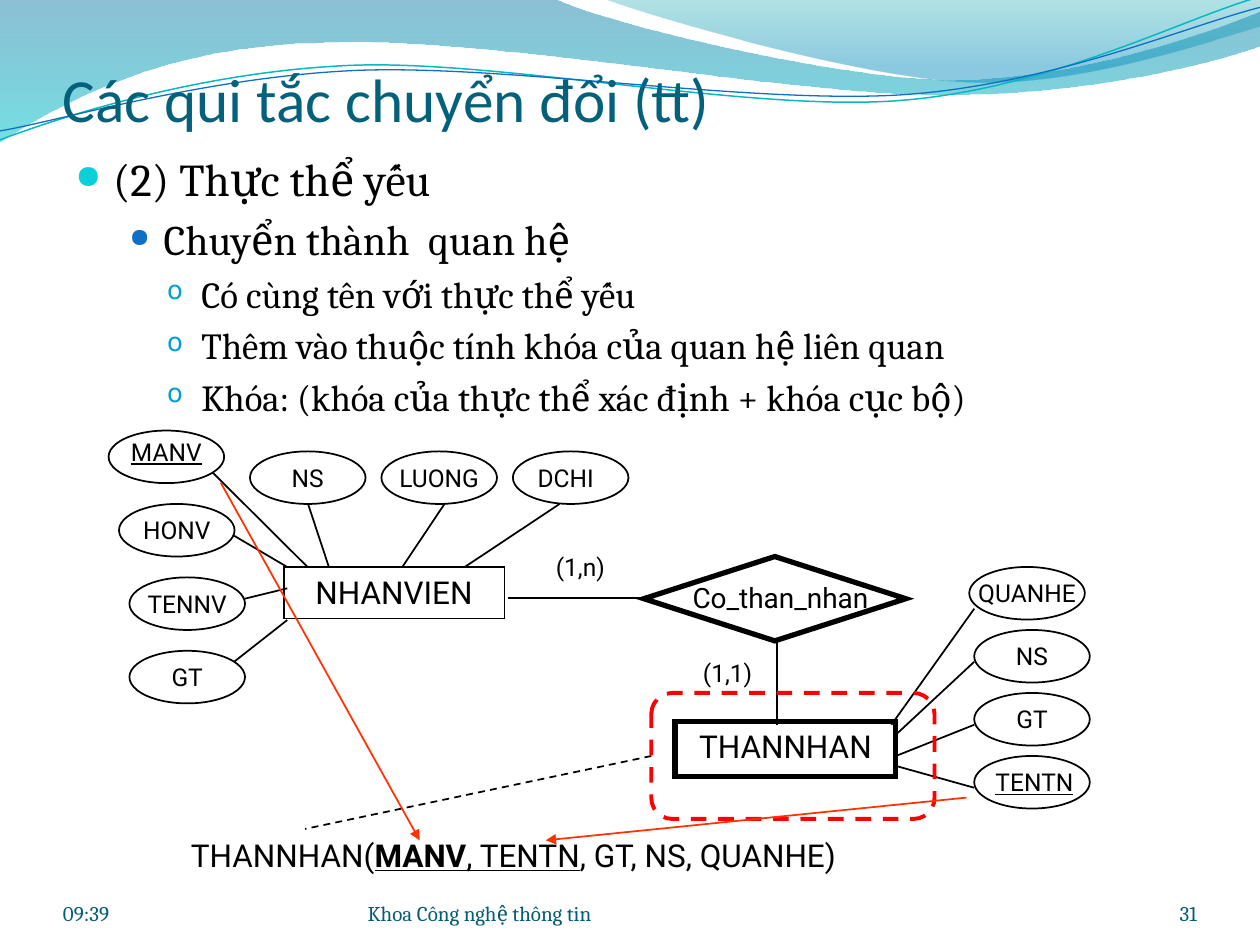
"""Build the slide on converting weak entities into relations."""
from lxml.etree import Element, SubElement
from pptx import Presentation
from pptx.dml.color import RGBColor
from pptx.enum.dml import MSO_LINE
from pptx.enum.shapes import MSO_CONNECTOR, MSO_SHAPE
from pptx.enum.text import MSO_ANCHOR, PP_ALIGN
from pptx.oxml.ns import qn
from pptx.util import Cm, Pt

BLACK = RGBColor(0x00, 0x00, 0x00)
RED = RGBColor(0xFF, 0x00, 0x00)
ORANGE = RGBColor(0xFF, 0x33, 0x00)
TITLE = RGBColor(0x04, 0x61, 0x7B)
FOOTER = RGBColor(0x04, 0x5D, 0x75)
TEAL = RGBColor(0x0A, 0xB8, 0xBF)
BLUE = RGBColor(0x0F, 0x6F, 0xC6)
DEEP_WAVE = ((RGBColor(0x00, 0x74, 0xA1), 0, 45), (RGBColor(0x00, 0xC6, 0xCF), 1, 55))
LIGHT_WAVE = ((RGBColor(0x00, 0xA1, 0xA9), 0, 30), (RGBColor(0x00, 0x8B, 0xBF), 0.8, 45))

HEAD, SERIF, SANS = "Calibri", "Cambria", "Roboto"
OVAL_W, OVAL_H = 2.33, 1.06

LEVELS = (
    (0.76, 0.76, "●", "0BD0D9", 72, 26),
    (1.78, 0.69, "●", "0F6FC6", 62, 24),
    (2.54, 0.69, "o", "009DD9", 70, 21),
)
BODY = (
    (0, "(2) Thực thể yếu"),
    (1, "Chuyển thành  quan hệ"),
    (2, "Có cùng tên với thực thể yếu"),
    (2, "Thêm vào thuộc tính khóa của quan hệ liên quan"),
    (2, "Khóa: (khóa của thực thể xác định + khóa cục bộ)"),
)
EMPLOYEE_SIDE = (
    ("MANV", 2.19, 8.68, (6.2, 11.43, 4.29, 9.53)),
    ("HONV", 2.4, 10.16, (5.79, 11.43, 4.72, 10.8)),
    ("TENNV", 2.61, 11.64, (5.79, 11.86, 4.93, 12.07)),
    ("GT", 2.61, 13.12, (5.79, 12.5, 4.72, 13.34)),
)
EMPLOYEE_TOP = (
    ("NS", (6.63, 11.43, 6.21, 10.16)),
    ("LUONG", (8.11, 11.43, 8.96, 10.16)),
    ("DCHI", (9.37, 11.43, 11.28, 10.16)),
)
RELATIVE = (
    ("QUANHE", 19.54, (17.97, 14.61, 19.64, 12.27)),
    ("NS", 19.64, (18.06, 14.81, 19.64, 13.34)),
    ("GT", 19.64, (18.06, 15.24, 19.64, 14.61)),
    ("TENTN", 19.64, (18.06, 15.44, 19.64, 15.88)),
)
KEYS = ("MANV", "TENTN")
LABEL_SHIFT = {"MANV": (0, 0), "DCHI": (-0.1, 0.1), "TENTN": (0.05, 0.1)}

DEEP_PATH = ((0, -0.03), (
    ((11.18, -0.03),),
    ((12.09, 0.43), (16.87, 1.6), (19.25, 1.6)),
    ((21.67, 1.6), (24.33, 0.66), (25.4, 0.23)),
    ((25.43, 0.91),),
    ((24.97, 1.12), (22.1, 1.93), (18.95, 1.91)),
    ((15.8, 1.91), (9.7, 0.71), (6.53, 0.86)),
    ((3.28, 0.89), (1.17, 2.11), (-0.03, 2.87))))
LIGHT_PATH = ((12.17, -0.03), (
    ((12.93, 0.28), (17.32, 1.57), (19.53, 1.65)),
    ((21.74, 1.75), (24.41, 0.81), (25.4, 0.53)),
    ((25.4, 0),)))
TEAL_PATH = ((0, 2.82), (
    ((1.22, 2.36), (4.01, 1.45), (7.04, 1.32)),
    ((10.03, 1.19), (15.06, 2.26), (18.11, 2.03)),
    ((21.16, 1.8), (23.83, 0.38), (25.35, -0.05))))
BLUE_PATH = ((0, 2.64), (
    ((1.19, 2.44), (4.17, 1.55), (7.19, 1.42)),
    ((10.24, 1.3), (15.16, 2.11), (18.21, 1.91)),
    ((21.23, 1.7), (23.9, 0.53), (25.4, 0.15))))


def add_curves(s, start, segments, close):
    """Add a freeform whose three-point segments are cubic curves."""
    builder = s.shapes.build_freeform(*map(Cm, start))
    builder.add_line_segments([tuple(map(Cm, seg[-1])) for seg in segments], close=close)
    sp = builder.convert_to_shape()
    for node, seg in zip(list(sp._element.iter(qn("a:lnTo"))), segments):
        if len(seg) == 3:
            node.tag = qn("a:cubicBezTo")
            for i, (x, y) in enumerate(seg[:2]):
                node.insert(i, Element(qn("a:pt"), x=str(Cm(x) - sp.left),
                                       y=str(Cm(y) - sp.top)))
    sp.shadow.inherit = False
    return sp


def add_wave(s, route, stops=None, color=None, width=1):
    """Draw a gradient band, or an open curve if no stops are given."""
    sp = add_curves(s, *route, close=bool(stops))
    if not stops:
        sp.fill.background()
        sp.line.color.rgb = color
        sp.line.width = Pt(width)
        return
    sp.line.fill.background()
    sp.fill.gradient()
    sp.fill.gradient_angle = 270
    for stop, (rgb, position, _) in zip(sp.fill.gradient_stops, stops):
        stop.color.rgb = rgb
        stop.position = position
    for clr, (_, _, opacity) in zip(sp._element.spPr.iter(qn("a:srgbClr")), stops):
        SubElement(clr, qn("a:alpha"), val=str(opacity * 1000))


def style(p, size, font=SANS, color=BLACK, align=PP_ALIGN.LEFT):
    """Format a paragraph and its runs."""
    p.alignment = align
    for r in p.runs:
        r.font.size = Pt(size)
        r.font.name = font
        r.font.color.rgb = color


def add_text(s, text, box, size, anchor=MSO_ANCHOR.TOP, insets=(0, 0.13, 0, 0.13), **look):
    """Add a one-paragraph text box and return its paragraph."""
    tf = s.shapes.add_textbox(*map(Cm, box)).text_frame
    tf.word_wrap = True
    tf.vertical_anchor = anchor
    tf.margin_left, tf.margin_top, tf.margin_right, tf.margin_bottom = map(Cm, insets)
    tf.text = text
    style(tf.paragraphs[0], size, **look)
    return tf.paragraphs[0]


def add_outline(s, kind, box, width=1, color=BLACK, text="", dash=None):
    """Add an unfilled preset shape with an optional name inside."""
    sp = s.shapes.add_shape(kind, *map(Cm, box))
    sp.shadow.inherit = False
    sp.fill.background()
    sp.line.color.rgb = color
    sp.line.width = Pt(width)
    sp.line.dash_style = dash
    SubElement(sp.line._get_or_add_ln(), qn("a:miter"), lim="800000")
    if text:
        tf = sp.text_frame
        tf.vertical_anchor = MSO_ANCHOR.TOP
        tf.text = text
        style(tf.paragraphs[0], 18, align=PP_ALIGN.CENTER)


def add_line(s, ends, color=BLACK, dash=None, arrow=False):
    """Add a straight connector, with an arrowhead at its end if asked."""
    cxn = s.shapes.add_connector(MSO_CONNECTOR.STRAIGHT, *map(Cm, ends))
    cxn.line.color.rgb = color
    cxn.line.width = Pt(1)
    cxn.line.dash_style = dash
    if arrow:
        SubElement(cxn.line._get_or_add_ln(), qn("a:tailEnd"), type="triangle")
    SubElement(cxn._element.spPr, qn("a:effectLst"))


def add_attribute(s, name, x, y, ends):
    """Add an attribute oval, its label and the line to its entity."""
    add_outline(s, MSO_SHAPE.OVAL, (x, y, OVAL_W, OVAL_H))
    dx, dy = LABEL_SHIFT.get(name, (0, 0.1))
    p = add_text(s, name, (x + dx, y + dy, OVAL_W, 0.84), 14, align=PP_ALIGN.CENTER)
    if name in KEYS:
        p.runs[0].font.underline = True
    add_line(s, ends)


def add_body(s):
    """Add the bulleted rules."""
    tf = s.shapes.add_textbox(Cm(1.27), Cm(2.92), Cm(22.86), Cm(14.12)).text_frame
    tf.word_wrap = True
    for i, (level, text) in enumerate(BODY):
        p = tf.add_paragraph() if i else tf.paragraphs[0]
        left, hang, mark, color, percent, size = LEVELS[level]
        p.text = text
        p.level = level
        p.space_before = Pt(size * 0.2 if i else 0)
        pPr = p._p.get_or_add_pPr()
        pPr.set("marL", str(Cm(left)))
        pPr.set("indent", str(-Cm(hang)))
        SubElement(SubElement(pPr, qn("a:buClr")), qn("a:srgbClr"), val=color)
        SubElement(pPr, qn("a:buSzPct"), val=str(percent * 1000))
        SubElement(pPr, qn("a:buChar"), char=mark)
        style(p, size, SERIF)


def add_relation(s):
    """Add the resulting relation with its underlined key."""
    p = add_text(s, "THANNHAN(", (3.6, 16.72, 17.58, 1.02), 18,
                 insets=(0.25, 0.13, 0.25, 0.13))
    for text, bold, underline in (("MANV", True, True), (", TENTN", False, True),
                                  (", GT, NS, QUANHE)", False, False)):
        r = p.add_run()
        r.text = text
        r.font.bold = bold
        r.font.underline = underline
    style(p, 18)


def add_diagram(s):
    """Add the entities, their relationship and the key arrows."""
    add_outline(s, MSO_SHAPE.RECTANGLE, (5.72, 11.43, 4.45, 1.04), text="NHANVIEN")
    add_outline(s, MSO_SHAPE.RECTANGLE, (13.61, 14.54, 4.45, 1.12), 3, text="THANNHAN")
    for attribute in EMPLOYEE_SIDE:
        add_attribute(s, *attribute)
    for i, (name, ends) in enumerate(EMPLOYEE_TOP):
        add_attribute(s, name, 5.04 + 2.65 * i, 9.1, ends)
    for i, (name, x, ends) in enumerate(RELATIVE):
        add_attribute(s, name, x, 11.43 + 1.27 * i, ends)
    add_outline(s, MSO_SHAPE.FLOWCHART_DECISION, (12.98, 11.22, 5.28, 1.7), 3)
    for text, box, size in (("Co_than_nhan", (13.41, 11.58, 4.65, 0.94), 16),
                            ("(1,1)", (13.72, 13.13, 1.9, 0.84), 14),
                            ("(1,n)", (10.75, 11, 1.9, 0.84), 14)):
        add_text(s, text, box, size, align=PP_ALIGN.CENTER)
    add_line(s, (10.24, 12.06, 12.98, 12.06))
    add_line(s, (15.66, 12.9, 15.66, 14.61))
    add_line(s, (13.13, 15.24, 6.15, 16.71), dash=MSO_LINE.DASH)
    add_outline(s, MSO_SHAPE.FLOWCHART_ALTERNATE_PROCESS, (13.13, 13.97, 5.71, 2.54),
                2.25, RED, dash=MSO_LINE.DASH)
    add_line(s, (4.45, 9.73, 8.46, 16.94), ORANGE, arrow=True)
    add_line(s, (19.48, 16.08, 11, 16.94), ORANGE, arrow=True)


def main():
    """Build and save the slide."""
    prs = Presentation()
    prs.slide_width, prs.slide_height = Cm(25.4), Cm(19.05)
    s = prs.slides.add_slide(prs.slide_layouts[6])
    add_wave(s, DEEP_PATH, DEEP_WAVE)
    add_wave(s, LIGHT_PATH, LIGHT_WAVE)
    add_wave(s, TEAL_PATH, color=TEAL, width=0.85)
    add_wave(s, BLUE_PATH, color=BLUE, width=0.75)
    add_text(s, "Các qui tắc chuyển đổi (tt)", (1.27, 0.98, 22.86, 1.73), 35,
             MSO_ANCHOR.BOTTOM, (0, 0.13, 0, 0), font=HEAD, color=TITLE)
    add_body(s)
    add_diagram(s)
    add_relation(s)
    for text, x, width, align in (("09:39", 1.27, 5.92, PP_ALIGN.LEFT),
                                  ("Khoa Công nghệ thông tin", 7.41, 9.32, PP_ALIGN.LEFT),
                                  ("31", 22.02, 2.11, PP_ALIGN.RIGHT)):
        add_text(s, text, (x, 17.65, width, 1.02), 12, MSO_ANCHOR.BOTTOM,
                 (0, 0, 0, 0), font=SERIF, color=FOOTER, align=align)
    prs.save("out.pptx")


if __name__ == "__main__":
    main()
